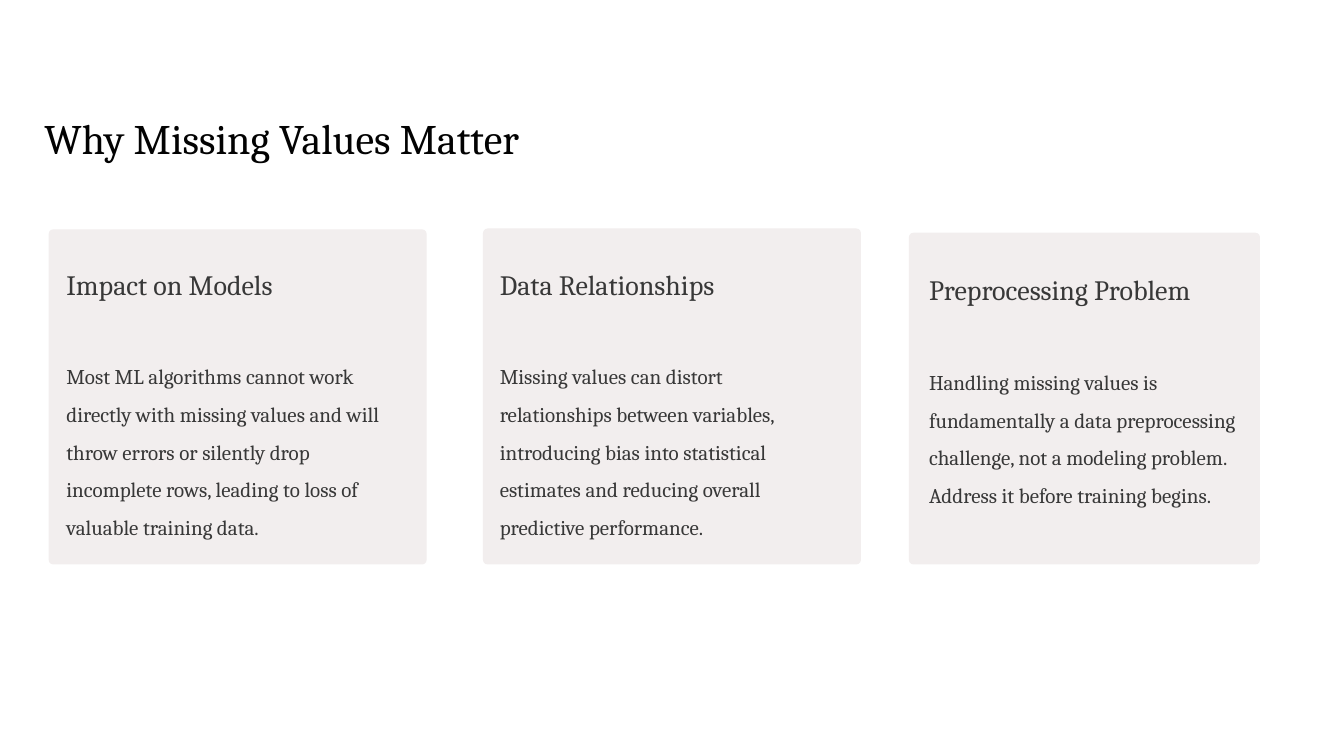
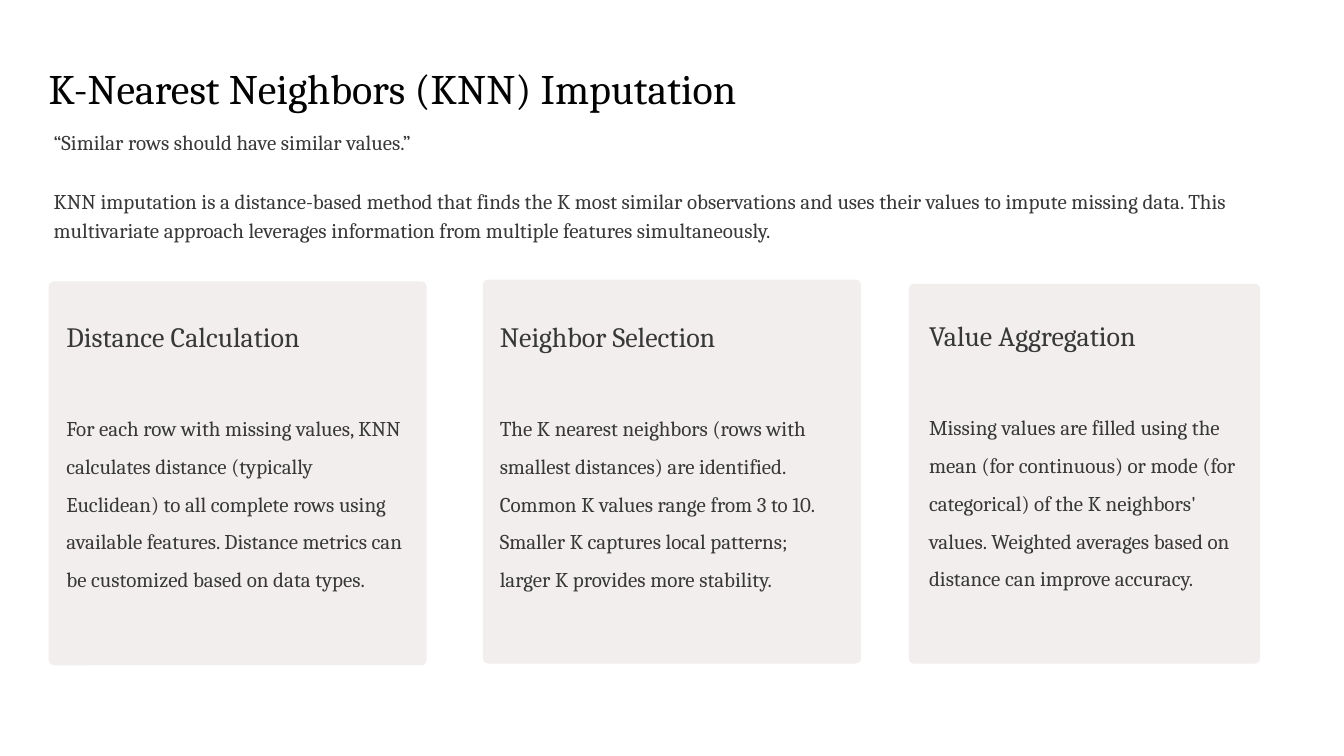
from pptx import Presentation
from pptx.dml.color import RGBColor
from pptx.enum.shapes import MSO_SHAPE
from pptx.util import Inches, Pt

ROUNDED = MSO_SHAPE.ROUNDED_RECTANGLE

# Shared style
FONT = "Cambria"
TITLE_COLOR, BODY_COLOR, CARD_COLOR = "020202", "383838", "F2EEEE"
TITLE_SIZE, HEADING_SIZE, BODY_SIZE = 36, 24, 18
SLIDE_W, SLIDE_H = 16, 9
TITLE_W, TITLE_H, TITLE_INSET = 14.93, 1.15, 0.48
CARD_CORNER = 0.014
CARD_LEADING = 1.5
HEADING_GAP = 43

# Columns: card left, card width, text left, text width, text height
COLUMNS = [
    (0.58, 4.5, 0.79, 4.06, 2.71),
    (5.75, 4.5, 5.95, 3.94, 5.32),
    (10.82, 4.18, 11.06, 3.78, 2.53),
]

# Cards: heading, body; rows: card top, card bottom, text top
SLIDES = [
    {
        "title": "Why Missing Values Matter",
        "title_at": (0.53, 0.75),
        "intro": [],
        "rows": [(2.73, 6.72, 2.98), (2.72, 6.72, 2.98), (2.77, 6.72, 3.05)],
        "cards": [
            ("Impact on Models",
             "Most ML algorithms cannot work directly with missing values and will "
             "throw errors or silently drop incomplete rows, leading to loss of "
             "valuable training data."),
            ("Data Relationships",
             "Missing values can distort relationships between variables, "
             "introducing bias into statistical estimates and reducing overall "
             "predictive performance."),
            ("Preprocessing Problem",
             "Handling missing values is fundamentally a data preprocessing "
             "challenge, not a modeling problem. Address it before training begins."),
        ],
    },
    {
        "title": "K-Nearest Neighbors (KNN) Imputation",
        "title_at": (0.58, 0.15),
        "intro": [
            "“Similar rows should have similar values.”",
            "KNN imputation is a distance-based method that finds the K most similar "
            "observations and uses their values to impute missing data. This "
            "multivariate approach leverages information from multiple features "
            "simultaneously.",
        ],
        "rows": [(3.35, 7.92, 3.6), (3.33, 7.9, 3.6), (3.38, 7.9, 3.59)],
        "cards": [
            ("Distance Calculation",
             "For each row with missing values, KNN calculates distance (typically "
             "Euclidean) to all complete rows using available features. Distance "
             "metrics can be customized based on data types."),
            ("Neighbor Selection",
             "The K nearest neighbors (rows with smallest distances) are identified. "
             "Common K values range from 3 to 10. Smaller K captures local patterns; "
             "larger K provides more stability."),
            ("Value Aggregation",
             "Missing values are filled using the mean (for continuous) or mode (for "
             "categorical) of the K neighbors' values. Weighted averages based on "
             "distance can improve accuracy."),
        ],
    },
]
INTRO_BOX = (0.54, 1.45, 14.67, 1.83)
INTRO_LEADING = 25


def rgb(hex_color):
    return RGBColor.from_string(hex_color)


def add_text(slide, box, texts, *, sizes, leading, color=BODY_COLOR, gap=0,
             insets=(0, 0, 0, 0)):
    """Write one paragraph per text, with a gap in points between them."""
    frame = slide.shapes.add_textbox(*map(Inches, box)).text_frame
    frame.word_wrap = True
    (frame.margin_left, frame.margin_top,
     frame.margin_right, frame.margin_bottom) = map(Inches, insets)
    for index, (text, size) in enumerate(zip(texts, sizes)):
        paragraph = frame.add_paragraph() if index else frame.paragraphs[0]
        paragraph.line_spacing = leading
        paragraph.space_before = Pt(gap if index else 0)
        run = paragraph.add_run()
        run.text = text
        run.font.name = FONT
        run.font.size = Pt(size)
        run.font.color.rgb = rgb(color)


def add_card(slide, column, row, texts):
    left, width, text_left, text_width, text_height = column
    top, bottom, text_top = row
    card = slide.shapes.add_shape(
        ROUNDED, *map(Inches, (left, top, width, bottom - top)))
    card.adjustments[0] = CARD_CORNER
    card.shadow.inherit = False
    card.fill.solid()
    card.fill.fore_color.rgb = rgb(CARD_COLOR)
    card.line.fill.background()
    add_text(slide, (text_left, text_top, text_width, text_height), texts,
             sizes=(HEADING_SIZE, BODY_SIZE), leading=CARD_LEADING,
             gap=HEADING_GAP)


def main():
    deck = Presentation()
    deck.slide_width, deck.slide_height = Inches(SLIDE_W), Inches(SLIDE_H)
    for content in SLIDES:
        slide = deck.slides.add_slide(deck.slide_layouts[6])
        # Title
        add_text(slide, (*content["title_at"], TITLE_W, TITLE_H),
                 [content["title"]], sizes=[TITLE_SIZE], leading=Pt(51),
                 color=TITLE_COLOR, insets=(0, TITLE_INSET, 0, 0))
        # Cards
        for column, row, texts in zip(COLUMNS, content["rows"], content["cards"]):
            add_card(slide, column, row, texts)
        # Introduction
        if content["intro"]:
            add_text(slide, INTRO_BOX, content["intro"],
                     sizes=[BODY_SIZE] * len(content["intro"]),
                     leading=Pt(INTRO_LEADING), gap=INTRO_LEADING,
                     insets=(0.1, 0.05, 0.1, 0.05))
    deck.save("out.pptx")


if __name__ == "__main__":
    main()
